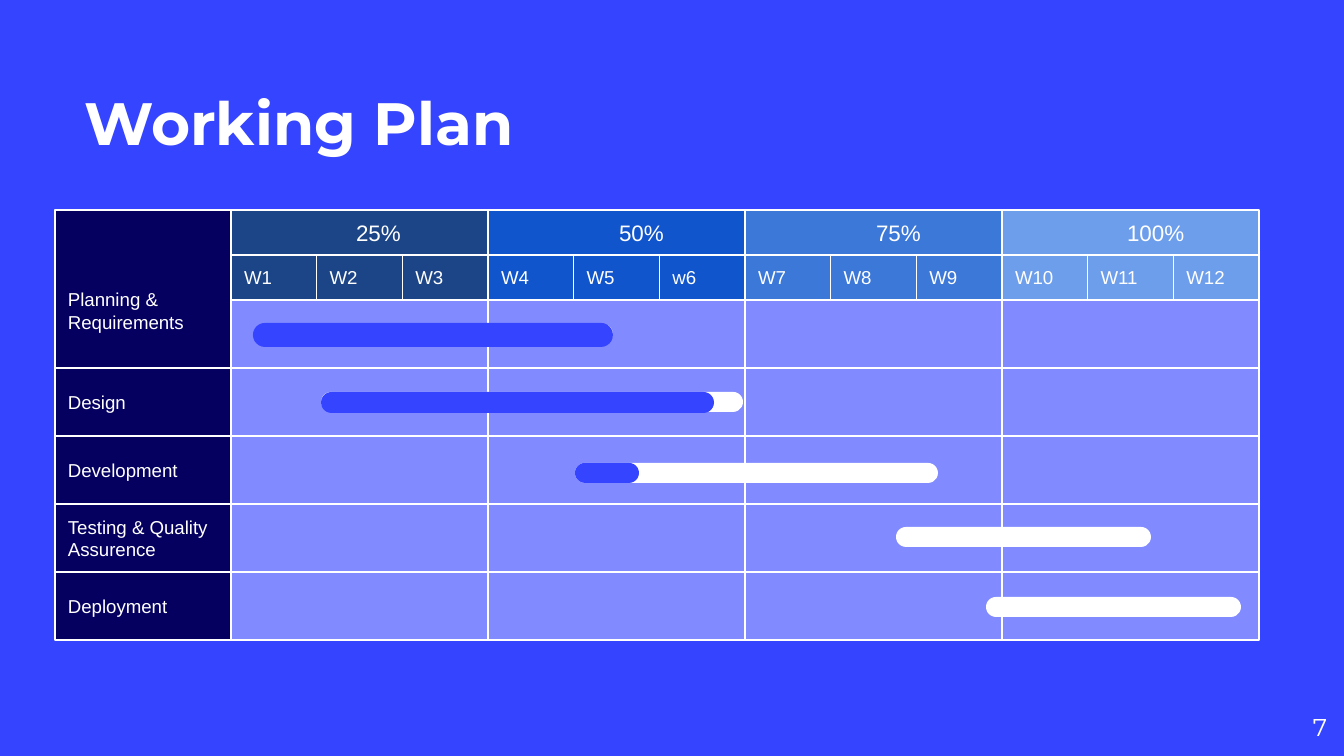
from lxml import etree
from pptx import Presentation
from pptx.dml.color import RGBColor
from pptx.enum.shapes import MSO_SHAPE
from pptx.enum.text import MSO_ANCHOR, PP_ALIGN
from pptx.oxml.ns import qn
from pptx.util import Pt

BOX, PILL = MSO_SHAPE.RECTANGLE, MSO_SHAPE.ROUND_2_SAME_RECTANGLE
MID, LOW = MSO_ANCHOR.MIDDLE, MSO_ANCHOR.BOTTOM
LEFT, RIGHT = PP_ALIGN.LEFT, PP_ALIGN.RIGHT

WHITE = RGBColor(0xFF, 0xFF, 0xFF)
BLUE = RGBColor(0x35, 0x44, 0xFF)
NAVY = RGBColor(0x05, 0x00, 0x60)

PX = 914400 / 134.4
PAD = 13
SIDE, SIDE_W = 55, 176
GRID, STAGE_W = SIDE + SIDE_W, 257
HEAD, HEAD_H = 210, 45
BODY, ROW_H = HEAD + 2 * HEAD_H, 68

# Stage: name, left inset, colour, weeks
STAGES = [
    ("25%", 125, RGBColor(0x1C, 0x45, 0x87), ["W1", "W2", "W3"]),
    ("50%", 131, RGBColor(0x11, 0x55, 0xCC), ["W4", "W5", "w6"]),
    ("75%", 131, RGBColor(0x3C, 0x78, 0xD8), ["W7", "W8", "W9"]),
    ("100%", 125, RGBColor(0x6D, 0x9E, 0xEB), ["W10", "W11", "W12"]),
]
TASKS = ["Design", "Development", "Testing & Quality Assurence", "Deployment"]
# Bar: left, top, width, height, colour
BARS = [
    (273, 324, 340, 20, WHITE),
    (253, 323, 360, 24, BLUE),
    (321, 392, 422, 20, WHITE),
    (321, 392, 393, 21, BLUE),
    (575, 463, 363, 20, WHITE),
    (575, 463, 64, 20, BLUE),
    (896, 527, 255, 20, WHITE),
    (986, 597, 255, 20, WHITE),
]


def emu(*sizes):
    return [round(size * PX) for size in sizes]


class Deck:
    def __init__(self):
        self.prs = Presentation()
        self.prs.slide_width, self.prs.slide_height = emu(1344, 756)
        self.slide = self.prs.slides.add_slide(self.prs.slide_layouts[6])
        fill = self.slide.background.fill
        fill.solid()
        fill.fore_color.rgb = BLUE

    def letter(self, shape, text, size, font="Arial", bold=False,
               align=LEFT, anchor=MID, pads=(0, 0, 0, 0)):
        """Put white text in a shape; pads are left, top, right, bottom."""
        frame = shape.text_frame
        frame.word_wrap = True
        frame.vertical_anchor = anchor
        (frame.margin_left, frame.margin_top,
         frame.margin_right, frame.margin_bottom) = emu(*pads)
        frame.text = text
        para = frame.paragraphs[0]
        para.alignment = align
        style = para.runs[0].font
        style.name, style.size, style.bold = font, Pt(size), bold
        style.color.rgb = WHITE

    def label(self, x, y, w, h, text, size, **style):
        area = self.slide.shapes.add_textbox(*emu(x, y, w, h))
        self.letter(area, text, size, font="Montserrat", **style)

    def solid(self, kind, x, y, w, h, color):
        shape = self.slide.shapes.add_shape(kind, *emu(x, y, w, h))
        shape.shadow.inherit = False
        shape.fill.solid()
        shape.fill.fore_color.rgb = color
        return shape

    def cell(self, x, y, w, h, color, text="", size=10, left=PAD,
             low=PAD, anchor=MID):
        shape = self.solid(BOX, x, y, w, h, color)
        shape.line.color.rgb = WHITE
        shape.line.width = Pt(0.75)
        if text:
            self.letter(shape, text, size, anchor=anchor,
                        pads=(left, PAD, PAD, low))
        return shape

    def pane(self, x, y, w, h):
        """Add an empty grid cell in see-through white."""
        shape = self.cell(x, y, w, h, WHITE)
        tint = shape.element.spPr.find(qn("a:solidFill"))[0]
        etree.SubElement(tint, qn("a:alpha")).set("val", "38000")

    def bar(self, x, y, w, h, color):
        shape = self.solid(PILL, x, y, w, h, color)
        shape.line.fill.background()
        shape.adjustments[0] = shape.adjustments[1] = 0.5


def main():
    deck = Deck()
    deck.label(85, 31, 1175, 126, "Working Plan", 32, bold=True, anchor=LOW)
    deck.label(1246, 698, 81, 58, "7", 13, align=RIGHT)

    week_w = STAGE_W / 3
    for i, (name, inset, color, weeks) in enumerate(STAGES):
        x = GRID + i * STAGE_W
        for row in range(len(TASKS) + 1):
            deck.pane(x, BODY + row * ROW_H, STAGE_W, ROW_H)
        deck.cell(x, HEAD, STAGE_W, HEAD_H, color, name, 12, left=inset)
        for j, week in enumerate(weeks):
            deck.cell(x + j * week_w, HEAD + HEAD_H, week_w, HEAD_H,
                      color, week)

    deck.cell(SIDE, HEAD, SIDE_W, 2 * HEAD_H + ROW_H, NAVY,
              "Planning & Requirements", low=35, anchor=LOW)
    for row, task in enumerate(TASKS, 1):
        deck.cell(SIDE, BODY + row * ROW_H, SIDE_W, ROW_H, NAVY, task)

    for bar in BARS:
        deck.bar(*bar)
    deck.prs.save("out.pptx")


if __name__ == "__main__":
    main()
